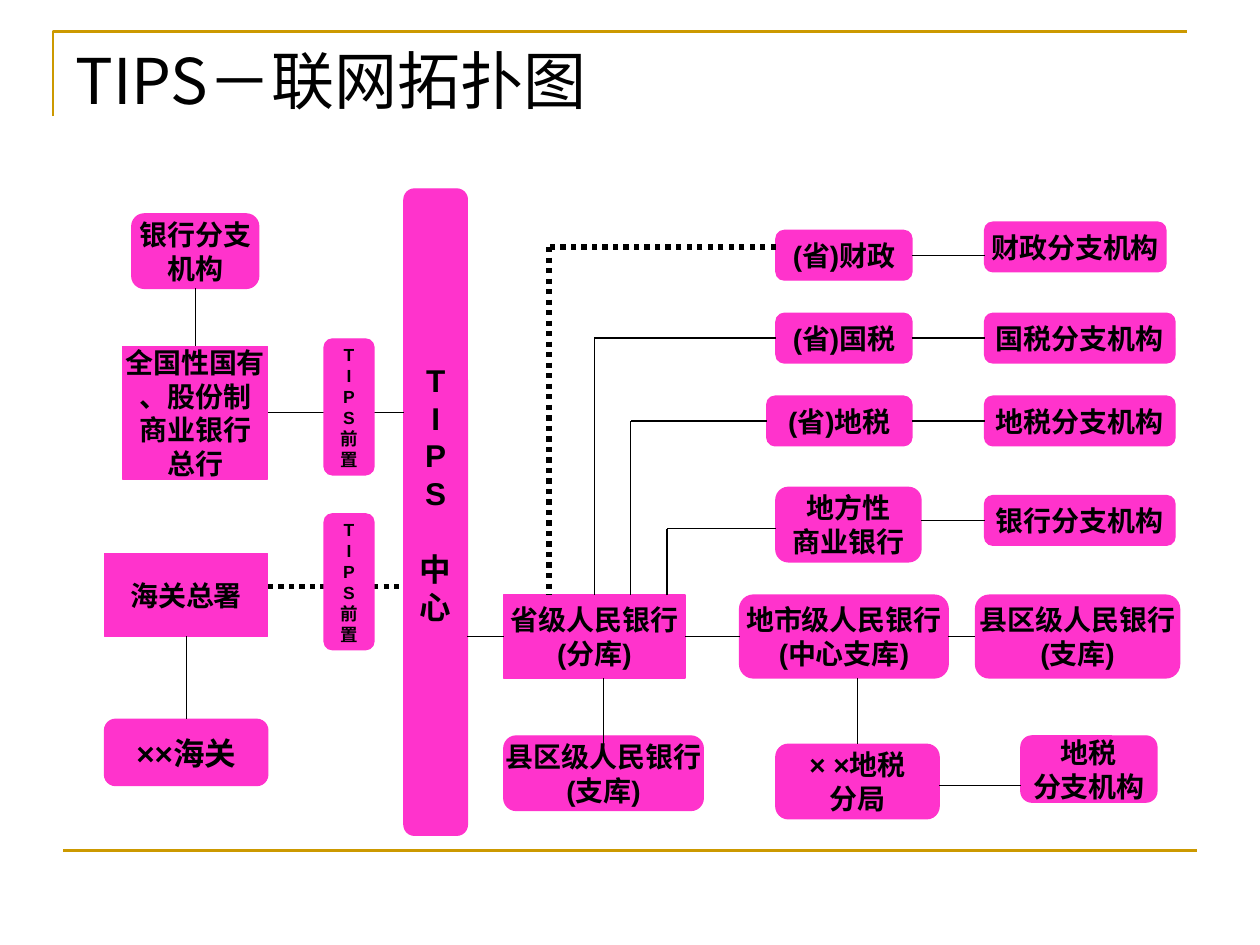
from dataclasses import dataclass
from itertools import pairwise

from lxml.etree import SubElement
from pptx import Presentation
from pptx.dml.color import RGBColor as RGB
from pptx.enum.dml import MSO_LINE_DASH_STYLE as DASH
from pptx.enum.shapes import MSO_CONNECTOR as CONN, MSO_SHAPE as SHAPE
from pptx.enum.text import MSO_ANCHOR as ANCHOR, PP_ALIGN as ALIGN
from pptx.oxml.ns import qn
from pptx.util import Inches, Pt


@dataclass(frozen=True)
class Theme:
    box: RGB = RGB(0xFF, 0x33, 0xCC)
    ink: RGB = RGB(0, 0, 0)
    rule: RGB = RGB(0xCC, 0x99, 0x00)
    latin: str = "Arial"
    cjk: str = "Noto Sans CJK SC"
    title: int = 36
    large: int = 18
    body: int = 16
    small: int = 10
    thin: float = 0.75
    frame: float = 1.5
    thick: float = 3


T = Theme()
W, H = Inches(10), Inches(7.5)

# Diagram grid: 125 columns across nine tenths of the slide, 78 rows down
LEFT, TOP = Inches(0.83), Inches(1.5)
COL, ROW = 0.9 * W / 125, Inches(5.13) / 78

RECT, ALT, ROUND = (SHAPE.RECTANGLE, SHAPE.FLOWCHART_ALTERNATE_PROCESS,
                    SHAPE.ROUNDED_RECTANGLE)

# Each box: text, column, row, columns wide, rows high, shape
BOXES = [
    # Banks and customs
    ("全国性国有\n、股份制\n商业银行\n总行", 2, 19, 16, 16, RECT),
    ("银行分支\n机构", 3, 3, 14, 9, ALT),
    ("海关总署", 0, 44, 18, 10, RECT),
    # Treasury levels
    ("省级人民银行\n(分库)", 44, 49, 20, 10, RECT),
    ("地市级人民银行\n(中心支库)", 70, 49, 23, 10, ROUND),
    ("县区级人民银行\n(支库)", 96, 49, 22.5, 10, ALT),
    ("县区级人民银行\n(支库)", 44, 66, 22, 9, ALT),
    # Provincial bodies and their branches
    ("(省)财政", 74, 5, 15, 6, ALT),
    ("财政分支机构", 97, 4, 20, 6, ALT),
    ("(省)国税", 74, 15, 15, 6, ALT),
    ("国税分支机构", 97, 15, 21, 6, ROUND),
    ("(省)地税", 73, 25, 16, 6, ROUND),
    ("地税分支机构", 97, 25, 21, 6, ALT),
    ("地方性\n商业银行", 74, 36, 16, 9, ROUND),
    ("银行分支机构", 97, 37, 21, 6, ROUND),
    ("× ×地税\n分局", 74, 67, 18, 9, ROUND),
    ("地税\n分支机构", 101, 66, 15, 8, ROUND),
]

# Routes through (column, row) points
SOLID = [
    [(18, 27), (33, 27)],
    [(10, 12), (10, 19)],
    [(9, 54), (9, 64)],
    [(55, 59), (55, 67)],
    [(83, 59), (83, 67)],
    [(40, 54), (44, 54)],
    [(64, 54), (70, 54)],
    [(93, 54), (96, 54)],
    [(92, 72), (101, 72)],
    [(90, 40), (97, 40)],
    [(89, 28), (97, 28)],
    [(89, 18), (97, 18)],
    [(89, 8), (97, 8)],
    [(62, 49), (62, 41), (74, 41)],
    [(73, 28), (58, 28), (58, 49)],
    [(74, 18), (54, 18), (54, 49)],
]
DOTTED = [
    [(18, 48), (33, 48)],
    [(74, 7), (49, 7), (49, 49)],
]


def grid(col, row):
    return round(LEFT + col * COL), round(TOP + row * ROW)


def write(s, text, *, size, latin=T.latin, bold=True, align=ALIGN.CENTER,
          wrap=False, pitch=1.2):
    """Fill a shape with text, one paragraph a line; return its frame."""
    tf = s.text_frame
    tf.word_wrap = wrap
    tf.vertical_anchor = ANCHOR.MIDDLE
    for i, line in enumerate(text.split("\n")):
        p = tf.add_paragraph() if i else tf.paragraphs[0]
        p.alignment = align
        if pitch:
            p.line_spacing = Pt(size * pitch)
        r = p.add_run()
        r.text = line
        r.font.size, r.font.bold, r.font.name = Pt(size), bold, latin
        r.font.color.rgb = T.ink
        SubElement(r.font._element, qn("a:ea")).set("typeface", T.cjk)
    return tf


def box(sp, text, col, row, cols, rows, kind=ALT, size=T.body):
    s = sp.add_shape(kind, *grid(col, row), round(cols * COL), round(rows * ROW))
    s.shadow.inherit = False
    s.fill.solid()
    s.fill.fore_color.rgb = s.line.color.rgb = T.box
    s.line.width = Pt(T.thin)
    return write(s, text, size=size)


def line(sp, start, end, color=T.ink, width=T.thin, dash=None):
    s = sp.add_connector(CONN.STRAIGHT, *start, *end)
    s.line.color.rgb, s.line.width = color, Pt(width)
    if dash:
        s.line.dash_style = dash
    SubElement(s._element.spPr, qn("a:effectLst"))


def route(sp, points, **fmt):
    for a, b in pairwise(points):
        line(sp, grid(*a), grid(*b), **fmt)


def frame(sp):
    """Corner rule above the title and the rule at the foot."""
    x, right, y = round(0.042 * W), round(0.942 * W), round(H / 30)
    fb = sp.build_freeform(x, round(0.123 * H))
    fb.add_line_segments([(x, y), (right, y)], close=False)
    s = fb.convert_to_shape()
    s.shadow.inherit = False
    s.fill.background()
    s.line.color.rgb, s.line.width = T.rule, Pt(T.frame)
    foot = round(0.9 * H)
    line(sp, (round(0.05 * W), foot), (round(0.95 * W), foot),
         color=T.rule, width=T.frame)


def title(sp, text):
    s = sp.add_textbox(round(0.05 * W), round(0.04 * H),
                       round(0.9 * W), round(0.088 * H))
    write(s, text, size=T.title, latin=T.cjk, bold=False,
          align=ALIGN.LEFT, wrap=True, pitch=None)


def center(sp):
    """Tall centre bar, with a line's gap between name and role."""
    tf = box(sp, "T\nI\nP\nS\n中\n心", 33, 0, 7, 78, size=T.large)
    gap = Pt(T.large * 1.2)
    tf.paragraphs[4].space_before = gap
    tf.margin_bottom += gap


def main():
    prs = Presentation()
    prs.slide_width, prs.slide_height = W, H
    sp = prs.slides.add_slide(prs.slide_layouts[6]).shapes

    frame(sp)
    title(sp, "TIPS－联网拓扑图")

    # Nodes
    center(sp)
    for spec_row in BOXES:
        box(sp, *spec_row)
    box(sp, "××海关", 0, 64, 18, 8, size=T.large)

    # Links
    for points in SOLID:
        route(sp, points)
    for points in DOTTED:
        route(sp, points, width=T.thick, dash=DASH.ROUND_DOT)

    # Front-end servers sit over the links
    for row in (18.1, 39.2):
        box(sp, "T\nI\nP\nS\n前\n置", 24.2, row, 5.5, 16.4, size=T.small)

    prs.save("out.pptx")


if __name__ == "__main__":
    main()
